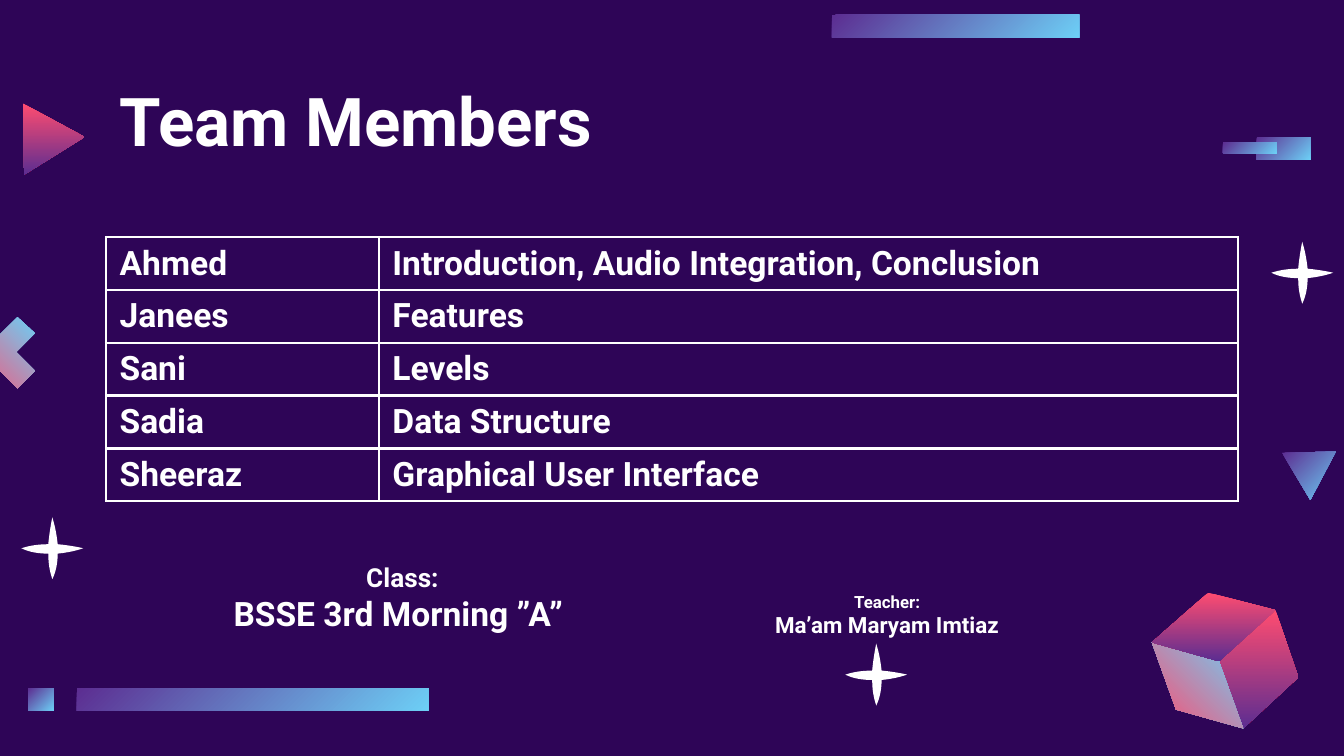
"""Build the Team Members slide with its geometric decoration and duty table."""
from dataclasses import dataclass
from itertools import pairwise

from pptx import Presentation
from pptx.dml.color import RGBColor as RGB
from pptx.enum.shapes import MSO_SHAPE as SHAPE
from pptx.enum.text import MSO_ANCHOR as ANCHOR, PP_ALIGN as ALIGN
from pptx.oxml import parse_xml
from pptx.oxml.ns import nsdecls
from pptx.util import Inches, Pt

COLORS = {"bg": "2E0557", "white": "FFFFFF", "purple": "5C2D91", "blue": "6DCFF6", "red": "FF4C70"}
FONT = "Roboto"
COLS, ROWS = 1000, 562.5
WIDTH = Inches(10)
HEIGHT = WIDTH * 9 // 16

Point = tuple[float, float]


@dataclass(frozen=True)
class Gradient:
    start: str
    end: str
    angle: int


@dataclass(frozen=True)
class Bar:
    col: float
    row: float
    cols: float
    rows: float = 17


@dataclass(frozen=True)
class Polygon:
    points: list[Point]
    fill: Gradient | str


DUSK = Gradient("purple", "blue", 45)
SUNSET = Gradient("red", "purple", 90)
CANDY = Gradient("blue", "red", 135)

BARS = [Bar(57, 512, 262), Bar(21, 512, 19), Bar(935, 102, 40), Bar(910, 106, 40, 8), Bar(619, 11, 184)]

CUBE_TOP, CUBE_LEFT, CUBE_MID, CUBE_RIGHT = (899, 441), (857, 478), (907, 492), (949, 454)
CUBE_LOW_LEFT, CUBE_BOTTOM, CUBE_LOW_RIGHT = (875, 528), (925, 542), (966, 504)
CROSS = [(-1, 275), (13, 289), (26, 276), (12, 262), (26, 248), (13, 236),
         (-1, 250), (-15, 236), (-27, 248), (-13, 262), (-27, 276), (-15, 289)]
POLYGONS = [
    Polygon([(17, 77), (63, 102), (18, 130)], SUNSET),
    Polygon(CROSS, CANDY),
    Polygon([(994, 336), (975, 372), (954, 337)], DUSK),
    Polygon([CUBE_RIGHT, CUBE_MID, CUBE_BOTTOM, CUBE_LOW_RIGHT], SUNSET),
    Polygon([CUBE_MID, CUBE_LEFT, CUBE_LOW_LEFT, CUBE_BOTTOM], CANDY),
    Polygon([CUBE_TOP, CUBE_LEFT, CUBE_MID, CUBE_RIGHT], SUNSET),
]

STARS = [(16, 385), (629, 479), (946, 180)]
STAR_CURVES = [
    [(23, 0), (23, 0), (21, 9), (20, 20)], [(20, 20), (13, 20), (6, 21), (0, 23)],
    [(0, 23), (6, 26), (13, 27), (20, 27)], [(20, 27), (20, 34), (21, 40), (23, 46)],
    [(23, 46), (26, 40), (27, 33), (27, 27)], [(27, 27), (38, 26), (46, 23), (46, 23)],
    [(46, 23), (46, 23), (38, 21), (27, 20)], [(27, 20), (26, 9), (23, 0), (23, 0)],
]

DUTIES = [
    ("Ahmed", "Introduction, Audio Integration, Conclusion"),
    ("Janees", "Features"),
    ("Sani", "Levels"),
    ("Sadia", "Data Structure"),
    ("Sheeraz", "Graphical User Interface"),
]


def x(col: float) -> int:
    return round(WIDTH * col / COLS)


def y(row: float) -> int:
    return round(HEIGHT * row / ROWS)


def box(col: float, row: float, cols: float, rows: float) -> tuple[int, int, int, int]:
    return x(col), y(row), x(cols), y(rows)


def rgb(name: str) -> RGB:
    return RGB.from_string(COLORS[name])


def paint(sp, fill: Gradient | str) -> None:
    sp.shadow.inherit = False
    sp.line.fill.background()
    if isinstance(fill, str):
        sp.fill.solid()
        sp.fill.fore_color.rgb = rgb(fill)
        return
    sp.fill.gradient()
    sp.fill.gradient_angle = 360 - fill.angle
    for stop, name, position in zip(sp.fill.gradient_stops, (fill.start, fill.end), (0, 1)):
        stop.color.rgb = rgb(name)
        stop.position = position


def draw_bar(s, bar: Bar) -> None:
    sp = s.shapes.add_shape(SHAPE.RECTANGLE, *box(bar.col, bar.row, bar.cols, bar.rows))
    paint(sp, DUSK)


def draw_polygon(s, polygon: Polygon) -> None:
    first, *rest = [(x(col), y(row)) for col, row in polygon.points]
    builder = s.shapes.build_freeform(*first)
    builder.add_line_segments(rest, close=True)
    paint(builder.convert_to_shape(), polygon.fill)


def bezier(curve: list[Point], t: float) -> Point:
    while len(curve) > 1:
        curve = [(a + (c - a) * t, b + (d - b) * t) for (a, b), (c, d) in pairwise(curve)]
    return curve[0]


def draw_star(s, col: float, row: float, steps: int = 8) -> None:
    outline = [bezier(curve, i / steps) for curve in STAR_CURVES for i in range(steps)]
    draw_polygon(s, Polygon([(col + dx, row + dy) for dx, dy in outline], "white"))


def write(p, text: str, *, size: float, align: ALIGN = ALIGN.LEFT) -> None:
    p.alignment = align
    r = p.add_run()
    r.text = text
    r.font.name, r.font.size, r.font.bold = FONT, Pt(size), True
    r.font.color.rgb = rgb("white")


def set_frame(tf) -> None:
    tf.word_wrap = True
    tf.vertical_anchor = ANCHOR.TOP
    tf.margin_left = tf.margin_right = tf.margin_top = tf.margin_bottom = Inches(0.1)


def draw_title(s, text: str) -> None:
    sp = s.shapes.title
    sp.left, sp.top, sp.width, sp.height = box(79, 49, 843, 63)
    set_frame(sp.text_frame)
    write(sp.text_frame.paragraphs[0], text, size=36)


def draw_caption(s, place: tuple[int, int, int, int], label: str, name: str, *,
                 label_size: float, name_size: float, joined: bool = False) -> None:
    tf = s.shapes.add_textbox(*place).text_frame
    set_frame(tf)
    p = tf.paragraphs[0]
    write(p, label, size=label_size, align=ALIGN.CENTER)
    if joined:
        p.add_line_break()
    else:
        p = tf.add_paragraph()
    write(p, name, size=name_size, align=ALIGN.CENTER)


def outline_cell(cell) -> None:
    pr = cell._tc.get_or_add_tcPr()
    for i, side in enumerate(("lnL", "lnR", "lnT", "lnB")):
        pr.insert(i, parse_xml(
            f'<a:{side} {nsdecls("a")} w="{Pt(1.5)}"><a:solidFill>'
            f'<a:srgbClr val="{COLORS["white"]}"/></a:solidFill></a:{side}>'))


def draw_table(s) -> None:
    table = s.shapes.add_table(len(DUTIES), 2, *box(79, 176.5, 842, 196.5)).table
    table.first_row = table.horz_banding = False
    for column, cols in zip(table.columns, (203, 639)):
        column.width = x(cols)
    for i, duty in enumerate(DUTIES):
        for j, text in enumerate(duty):
            cell = table.cell(i, j)
            cell.fill.background()
            cell.vertical_anchor = ANCHOR.MIDDLE
            cell.margin_left = cell.margin_right = Inches(0.1)
            cell.margin_top = cell.margin_bottom = 0
            write(cell.text_frame.paragraphs[0], text, size=18)
            outline_cell(cell)


def main() -> None:
    prs = Presentation()
    prs.slide_width, prs.slide_height = WIDTH, HEIGHT
    s = prs.slides.add_slide(prs.slide_layouts[5])
    s.background.fill.solid()
    s.background.fill.fore_color.rgb = rgb("bg")
    for bar in BARS:
        draw_bar(s, bar)
    for star in STARS:
        draw_star(s, *star)
    for polygon in POLYGONS:
        draw_polygon(s, polygon)
    draw_title(s, "Team Members")
    draw_table(s)
    draw_caption(s, box(78, 408, 443, 94), "Class:", "BSSE 3rd Morning ”A” ",
                 label_size=14, name_size=18, joined=True)
    draw_caption(s, box(474, 430, 372, 50), "Teacher:", "Ma’am Maryam Imtiaz", label_size=9, name_size=12)
    prs.save("out.pptx")


if __name__ == "__main__":
    main()
